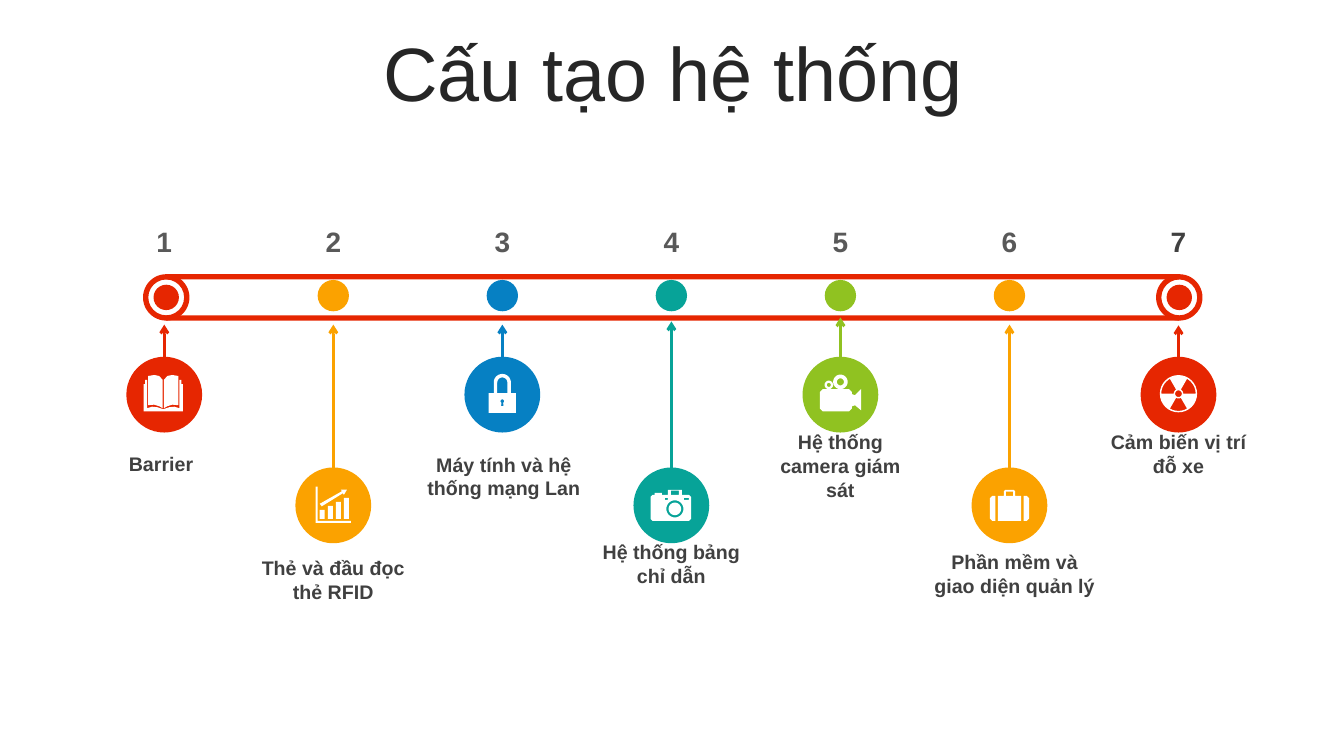
from dataclasses import dataclass
from math import cos, radians, sin

from lxml import etree
from pptx import Presentation
from pptx.dml.color import RGBColor
from pptx.enum.shapes import MSO_CONNECTOR, MSO_SHAPE
from pptx.enum.text import MSO_ANCHOR, MSO_AUTO_SIZE, PP_ALIGN
from pptx.oxml.ns import qn
from pptx.util import Cm, Pt

OVAL, DONUT, RECTANGLE = MSO_SHAPE.OVAL, MSO_SHAPE.DONUT, MSO_SHAPE.RECTANGLE
STRAIGHT = MSO_CONNECTOR.STRAIGHT
CENTER, MIDDLE, TOP = PP_ALIGN.CENTER, MSO_ANCHOR.MIDDLE, MSO_ANCHOR.TOP
FIT_SHAPE, NO_FIT = MSO_AUTO_SIZE.SHAPE_TO_FIT_TEXT, MSO_AUTO_SIZE.NONE

RED = RGBColor(0xE6, 0x26, 0x01)
ORANGE = RGBColor(0xFB, 0xA2, 0x00)
BLUE = RGBColor(0x06, 0x80, 0xC3)
TEAL = RGBColor(0x07, 0xA3, 0x98)
GREEN = RGBColor(0x90, 0xC2, 0x21)
WHITE = RGBColor(0xFF, 0xFF, 0xFF)
TITLE_INK = RGBColor(0x26, 0x26, 0x26)
LABEL_INK = RGBColor(0x40, 0x40, 0x40)
NUMBER_INK = RGBColor(0x59, 0x59, 0x59)

FONT = "Arial"
ICON_UNIT = Cm(0.0254)
FIRST_STOP, STOP_PITCH = Cm(4.14), Cm(4.26)
BADGE = Cm(1.91)
HIGH, LOW = Cm(8.99), Cm(11.78)  # badge tops


def arc(x, y, radius, start=0, end=360, steps=32):
    angles = [radians(start + (end - start) * i / steps) for i in range(steps + 1)]
    return [(x + radius * cos(a), y + radius * sin(a)) for a in angles]


def rect(left, top, right, bottom):
    return [(left, top), (right, top), (right, bottom), (left, bottom)]


def book_icon():
    page = [(0.5, -14.5), (4, -18.5), (9, -19.5), (15, -18.5),
            (15, 10.5), (9, 10), (4, 11.5), (0.5, 13.5)]
    cover = [(16, -14.5), (18, -14.5), (18, -10.5), (19.5, -10.5), (19.5, 16.5),
             (0, 16.5), (0, 14.5), (6, 12.5), (11, 12), (16, 13.5)]
    return [[(side * x - 1, y) for x, y in half]
            for side in (-1, 1) for half in (page, cover)]


def chart_icon():
    axes = [(-17.5, -18.5), (-15.5, -18.5), (-15.5, 15.5),
            (17.5, 15.5), (17.5, 17.5), (-17.5, 17.5)]
    arrow = [(7.5, -15.5), (13.5, -15.5), (10.5, -10.5), (9.5, -12),
             (-11.5, 1), (-13.5, -1.5), (8.5, -14)]
    bars = [rect(8 * i - 13.5, 4.5 - 4 * i, 8 * i - 8.5, 13.5) for i in range(4)]
    return [axes, arrow] + bars


def lock_icon():
    shackle = (arc(0, -12, 8.5, 180, 360) + [(8.5, -1.5), (5, -1.5)]
               + arc(0, -12, 5, 360, 180) + [(-5, -1.5), (-8.5, -1.5)])
    keyhole = arc(0, 6.5, 1.8, 120, 420) + [(1.2, 11.5), (-1.2, 11.5)]
    return [shackle, rect(-13.5, -1.5, 13.5, 18), keyhole]


def camera_icon():
    body = [(-20.5, -8.5), (-18.5, -10.5), (-16.5, -10.5), (-16.5, -12.5),
            (-9.5, -12.5), (-9.5, -10.5), (-3.5, -10.5), (-3.5, -15.5),
            (10.5, -15.5), (10.5, -10.5), (17.5, -10.5), (19.5, -8.5),
            (19.5, 13.5), (17.5, 15.5), (-18.5, 15.5), (-20.5, 13.5)]
    slots = [rect(-0.5, -14.5, 7.5, -10.5), rect(-6.5, -7.5, -3.5, -5.5),
             rect(12.5, -7.5, 17.5, -5.5)]
    return [body, arc(3.5, 3.5, 8.5), arc(3.5, 3.5, 6.2)] + slots


def video_icon():
    body = [(-20.5, -2.5), (-17.5, -5.5), (8.5, -5.5), (11.5, -2.5), (11.5, -0.5),
            (14.5, 0.5), (20.5, -5.5), (20.5, 15.5), (14.5, 10.5), (11.5, 11.5),
            (11.5, 13.5), (8.5, 16.5), (-17.5, 16.5), (-20.5, 13.5)]
    return [body, arc(-11.5, -9.7, 4.2), arc(-11.5, -9.7, 2),
            arc(0, -12.7, 7.2), arc(0, -12.7, 3.5)]


def briefcase_icon():
    handle = [(-5.5, -9.5), (-5.5, -14), (-4, -15.5), (4, -15.5), (5.5, -14),
              (5.5, -9.5), (3.5, -9.5), (3.5, -13.5), (-3.5, -13.5), (-3.5, -9.5)]
    end = [(14, -9.5), (17, -9.5), (19.5, -7), (19.5, 13), (17, 15.5), (14, 15.5)]
    return [rect(-11.5, -9.5, 11.5, 15.5), handle, end, [(-x, y) for x, y in end]]


def radiation_icon():
    blades = [arc(0, -0.9, 17, start, start + 60) + arc(0, -0.9, 4.7, start + 60, start)
              for start in (60, 180, 300)]
    return [arc(0, -0.9, 18.5), arc(0, -0.9, 3.3)] + blades


@dataclass
class Stop:
    label: str
    lines: int
    color: RGBColor
    icon: list
    top: int
    gap: float  # cm from badge to label
    tip: float = 8.18
    label_width: float = 4.32
    label_shift: float = 0


STOPS = [
    Stop("Barrier", 1, RED, book_icon(), HIGH, 0.36, label_shift=-0.08),
    Stop("Thẻ và đầu đọc thẻ RFID", 2, ORANGE, chart_icon(), LOW, 0.2),
    Stop("Máy tính và hệ thống mạng Lan", 2, BLUE, lock_icon(), HIGH, 0.38,
         label_width=4.52, label_shift=0.04),
    Stop("Hệ thống bảng chỉ dẫn", 2, TEAL, camera_icon(), LOW, -0.2, tip=8.1),
    Stop("Hệ thống camera giám sát", 3, GREEN, video_icon(), HIGH, -0.18, tip=8),
    Stop("Phần mềm và giao diện quản lý", 2, ORANGE, briefcase_icon(), LOW, 0.05,
         label_width=4.57, label_shift=0.13),
    Stop("Cảm biến vị trí đỗ xe", 2, RED, radiation_icon(), HIGH, -0.18, tip=8.2),
]


def paint(shape, color):
    shape.shadow.inherit = False
    shape.fill.solid()
    shape.fill.fore_color.rgb = color
    shape.line.fill.background()


def add_flat(page, kind, left, top, width, height, color):
    shape = page.shapes.add_shape(kind, left, top, width, height)
    paint(shape, color)
    return shape


def add_round(page, kind, x, y, size, color):
    """Place a round shape by its centre."""
    return add_flat(page, kind, x - size // 2, y - size // 2, size, size, color)


def style(para, size, color, bold):
    para.alignment = CENTER
    para.font.name, para.font.size, para.font.bold = FONT, Pt(size), bold
    para.font.color.rgb = color


def add_text(page, words, x, top, width, height, size, color, anchor):
    box = page.shapes.add_textbox(x - width // 2, top, width, height)
    frame = box.text_frame
    frame.word_wrap, frame.auto_size = True, FIT_SHAPE
    frame.vertical_anchor = anchor
    frame.text = words
    style(frame.paragraphs[0], size, color, True)


def add_arrow(page, x, start, end, color):
    arrow = page.shapes.add_connector(STRAIGHT, x, start, x, end)
    arrow.line.color.rgb, arrow.line.width = color, Pt(2)
    etree.SubElement(arrow.line._get_or_add_ln(), qn("a:tailEnd"), type="arrow")
    etree.SubElement(arrow._element.spPr, qn("a:effectLst"))


def add_icon(page, contours, x, y):
    outlines = [[(round(px * ICON_UNIT), round(py * ICON_UNIT)) for px, py in contour]
                for contour in contours]
    builder = page.shapes.build_freeform(*outlines[0][0])
    for index, outline in enumerate(outlines):
        if index:
            builder.move_to(*outline[0])
        builder.add_line_segments(outline[1:], close=True)
    paint(builder.convert_to_shape(x, y), WHITE)


def add_title(page, left, top, width, height):
    title = page.shapes.title
    title.left, title.top, title.width, title.height = left, top, width, height
    frame = title.text_frame
    frame.text = "Cấu tạo hệ thống"
    frame.auto_size, frame.vertical_anchor = NO_FIT, MIDDLE
    para = frame.paragraphs[0]
    style(para, 54, TITLE_INK, False)
    para.line_spacing, para.space_before = 0.9, Pt(10)


def add_track(page, left, top, width, height):
    """Draw the two rails and the ring at each end."""
    rail = Cm(0.13)
    for end in (left, left + width):
        ring = add_round(page, DONUT, end, top + height // 2, height, RED)
        ring.adjustments[0] = 0.114
        add_round(page, OVAL, end, top + height // 2, Cm(0.64), RED)
    for rail_top in (top, top + height - rail):
        add_flat(page, RECTANGLE, left, rail_top, width, rail, RED)


def add_stop(page, number, stop, x):
    last = number == len(STOPS)
    add_text(page, str(number), x, Cm(5.51), Cm(2.6), Cm(1.12), 20,
             LABEL_INK if last else NUMBER_INK, MIDDLE)
    if 1 < number and not last:
        add_round(page, OVAL, x, Cm(7.45), Cm(0.79), stop.color)
    middle = stop.top + BADGE // 2
    add_round(page, OVAL, x, middle, BADGE, stop.color)
    add_arrow(page, x, stop.top + Cm(0.05), Cm(stop.tip), stop.color)
    add_icon(page, stop.icon, x, middle)
    add_text(page, stop.label, x + Cm(stop.label_shift), stop.top + BADGE + Cm(stop.gap),
             Cm(stop.label_width), Cm(0.26 + 0.59 * stop.lines), 14, LABEL_INK, TOP)


def main():
    deck = Presentation()
    deck.slide_width, deck.slide_height = Cm(33.87), Cm(19.05)
    page = deck.slides.add_slide(deck.slide_layouts[5])
    add_title(page, Cm(0.89), Cm(0.94), Cm(32.16), Cm(2.01))
    add_track(page, Cm(4.19), Cm(6.91), Cm(25.53), Cm(1.17))
    for index, stop in enumerate(STOPS):
        add_stop(page, index + 1, stop, FIRST_STOP + index * STOP_PITCH)
    deck.save("out.pptx")


if __name__ == "__main__":
    main()
